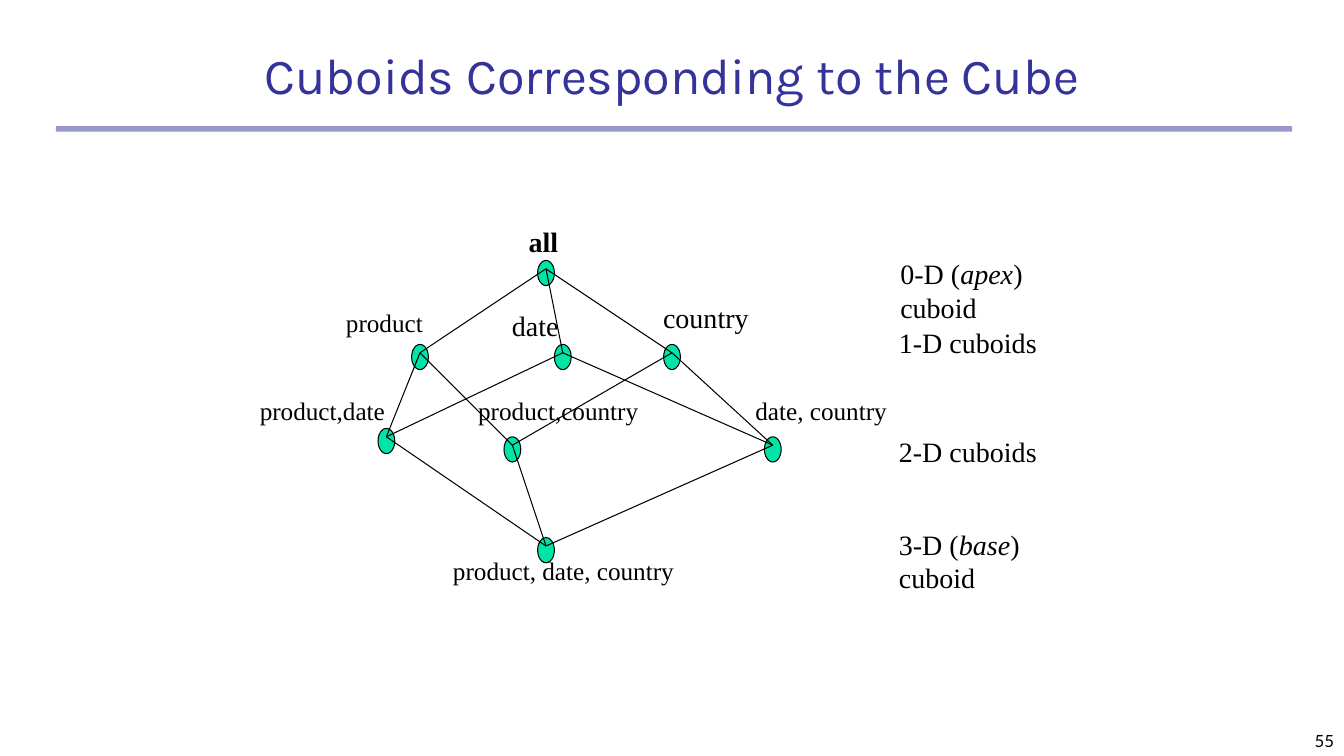
import itertools

import lxml.etree
import pptx
import pptx.dml.color
import pptx.enum.shapes
import pptx.enum.text
import pptx.oxml.ns
import pptx.util

Pt = pptx.util.Pt
ALIGN = pptx.enum.text.PP_ALIGN
ANCHOR = pptx.enum.text.MSO_ANCHOR
AUTO_SIZE = pptx.enum.text.MSO_AUTO_SIZE
SHAPES = pptx.enum.shapes.MSO_SHAPE

COLOURS = {"title": "333399", "rule": "333399", "node": "00E4A8", "ink": "000000"}
SERIF = "Times New Roman"
NODE_WIDTH, NODE_HEIGHT = 12, 18
JOINT = 6  # edges meet this far right of and below a node's corner
LABEL_HEIGHTS = {18: 28.8, 20: 31}

TITLE = "Cuboids Corresponding to the Cube"
PAGE_NUMBER = "55"

# dimensions, node corner, label, label corner, label width, label format
CUBOIDS = [
    ((), (384, 186), "all", (370.5, 157), 37, {"size": 20, "bold": True}),
    (("product",), (294, 246), "product", (240, 216), 71, {"size": 18}),
    (("date",), (396, 246), "date", (358.5, 217), 49, {"size": 20}),
    (("country",), (474, 246), "country", (466.5, 211), 76, {"size": 20}),
    (("product", "date"), (270, 306), "product,date", (178.5, 279), 105, {"size": 18}),
    (("product", "country"), (360, 312), "product,country", (334.5, 279), 130, {"size": 18}),
    (("date", "country"), (546, 312), "date, country", (532.5, 279), 110, {"size": 18}),
    (("product", "date", "country"), (384, 384), "product, date, country",
     (316.5, 393), 174, {"size": 18}),
]

# runs as (text, italic), corner, width, wrap
LEVELS = [
    ([("0-D (", False), ("apex", True), (") cuboid", False)], (636, 180), 155, True),
    ([("1-D cuboids", False)], (635, 229), 113, False),
    ([("2-D cuboids", False)], (635, 307), 113, False),
    ([("3-D (", False), ("base", True), (") cuboid", False)], (635, 373), 155, True),
]


def rgb(name):
    return pptx.dml.color.RGBColor.from_string(COLOURS[name])


def add_text(slide, box, runs, size, font=SERIF, colour="ink", bold=False,
             align=ALIGN.LEFT, anchor=ANCHOR.TOP, wrap=False):
    """Place runs of (text, italic) in a box that grows unless it wraps."""
    frame = slide.shapes.add_textbox(*map(Pt, box)).text_frame
    frame.auto_size = AUTO_SIZE.NONE if wrap else AUTO_SIZE.SHAPE_TO_FIT_TEXT
    frame.word_wrap = wrap
    frame.vertical_anchor = anchor
    paragraph = frame.paragraphs[0]
    paragraph.alignment = align
    for text, italic in runs:
        run = paragraph.add_run()
        run.text = text
        run.font.color.rgb = rgb(colour)
        formats = {"name": font, "size": Pt(size), "bold": bold, "italic": italic}
        for attribute, value in formats.items():
            setattr(run.font, attribute, value)


def add_shape(slide, kind, box, fill):
    shape = slide.shapes.add_shape(kind, *map(Pt, box))
    shape.shadow.inherit = False
    shape.fill.solid()
    shape.fill.fore_color.rgb = rgb(fill)
    return shape


def draw_line(line):
    line.color.rgb = rgb("ink")
    line.width = Pt(0.75)


def add_heading(slide):
    rule = add_shape(slide, SHAPES.RECTANGLE, (40, 90, 883, 4), "rule")
    rule.line.fill.background()
    rule_colour = next(rule._element.spPr.iter(pptx.oxml.ns.qn("a:srgbClr")))
    lxml.etree.SubElement(rule_colour, pptx.oxml.ns.qn("a:alpha"), val="50000")
    add_text(slide, (40, 24, 880, 54), [(TITLE, False)], 36, "Karla", "title",
             align=ALIGN.CENTER, anchor=ANCHOR.BOTTOM, wrap=True)
    add_text(slide, (760, 504, 200, 36), [(PAGE_NUMBER, False)], 12, "Lato",
             align=ALIGN.RIGHT, anchor=ANCHOR.BOTTOM, wrap=True)


def add_lattice(slide):
    """Draw the cuboids, joining each to those with one more dimension."""
    for _, corner, *_ in CUBOIDS:
        node = add_shape(slide, SHAPES.FLOWCHART_CONNECTOR,
                         (*corner, NODE_WIDTH, NODE_HEIGHT), "node")
        draw_line(node.line)

    for upper, lower in itertools.combinations(CUBOIDS, 2):
        if set(upper[0]) < set(lower[0]) and len(lower[0]) == len(upper[0]) + 1:
            ends = [Pt(place + JOINT) for place in upper[1] + lower[1]]
            edge = slide.shapes.add_connector(
                pptx.enum.shapes.MSO_CONNECTOR.STRAIGHT, *ends)
            draw_line(edge.line)
            lxml.etree.SubElement(edge._element.spPr, pptx.oxml.ns.qn("a:effectLst"))

    for _, _, label, corner, width, formats in CUBOIDS:
        box = (*corner, width, LABEL_HEIGHTS[formats["size"]])
        add_text(slide, box, [(label, False)], **formats)


def main():
    deck = pptx.Presentation()
    deck.slide_width, deck.slide_height = Pt(960), Pt(540)
    slide = deck.slides.add_slide(deck.slide_layouts[6])
    add_heading(slide)
    add_lattice(slide)
    for runs, corner, width, wrap in LEVELS:
        add_text(slide, (*corner, width, LABEL_HEIGHTS[20]), runs, 20, wrap=wrap)
    deck.save("out.pptx")


if __name__ == "__main__":
    main()
